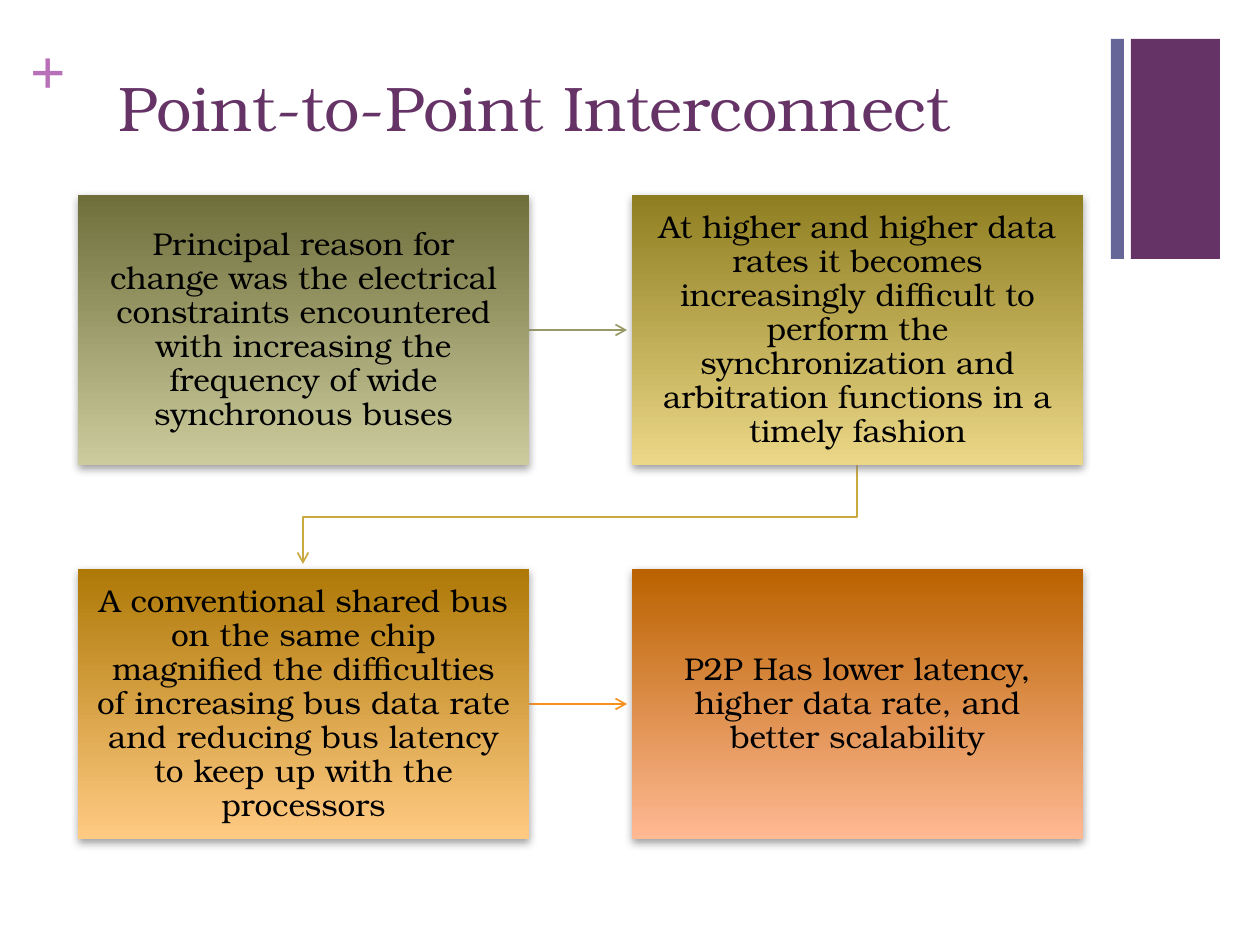
from dataclasses import dataclass

from lxml import etree
from pptx import Presentation
from pptx.dml.color import RGBColor
from pptx.enum.shapes import MSO_CONNECTOR, MSO_SHAPE
from pptx.enum.text import MSO_ANCHOR, PP_ALIGN
from pptx.oxml.ns import qn
from pptx.util import Emu, Pt

RECTANGLE = MSO_SHAPE.RECTANGLE
STRAIGHT = MSO_CONNECTOR.STRAIGHT
MIDDLE, TOP = MSO_ANCHOR.MIDDLE, MSO_ANCHOR.TOP
CENTER, LEFT = PP_ALIGN.CENTER, PP_ALIGN.LEFT

EMU_PER_PX = 914400 // 126
BODY_FONT = "TeX Gyre Bonum"
MARK_FONT = "Times New Roman"
COLORS = {
    "plum": "663366", "slate": "666699", "orchid": "B870B8",
    "text": "000000", "shadow": "808080",
    "olive": "999966", "gold": "CAA940", "orange": "F7901E",
}

# Card grid
CARD_LEFT, CARD_TOP = 78, 195
CARD_WIDTH, CARD_HEIGHT = 451, 270
COLUMN_PITCH, ROW_PITCH = 554, 374
CARD_INSET = 18
ARROW_GAP = 5


@dataclass
class Card:
    text: str
    column: int
    row: int
    dark: str
    light: str

    @property
    def left(self) -> int:
        return CARD_LEFT + self.column * COLUMN_PITCH

    @property
    def top(self) -> int:
        return CARD_TOP + self.row * ROW_PITCH


CARDS = [
    Card("Principal reason for change was the electrical constraints encountered "
         "with increasing the frequency of wide synchronous buses",
         0, 0, "6F6F3C", "CBCB9D"),
    Card("At higher and higher data rates it becomes increasingly difficult to perform "
         "the synchronization and arbitration functions in a timely fashion",
         1, 0, "8F7E21", "EBD787"),
    Card("A conventional shared bus on the same chip magnified the difficulties of "
         "increasing bus data rate and reducing bus latency to keep up with the processors",
         0, 1, "AE7907", "FFCA82"),
    Card("P2P Has lower latency, higher data rate, and better scalability",
         1, 1, "BA6200", "FFB993"),
]


def px(length: int) -> Emu:
    return Emu(length * EMU_PER_PX)


def rgb(name: str) -> RGBColor:
    return RGBColor.from_string(COLORS[name])


def add_rectangle(slide, left: int, top: int, width: int, height: int):
    shape = slide.shapes.add_shape(RECTANGLE, px(left), px(top), px(width), px(height))
    shape.shadow.inherit = False
    shape.line.fill.background()
    return shape


def write_text(shape, text: str, size: int, color: str, inset: tuple[int, int],
               font: str = BODY_FONT, align=LEFT, anchor=TOP, wrap: bool = True):
    frame = shape.text_frame
    frame.word_wrap = wrap
    frame.vertical_anchor = anchor
    frame.margin_left = frame.margin_right = px(inset[0])
    frame.margin_top = frame.margin_bottom = px(inset[1])
    paragraph = frame.paragraphs[0]
    paragraph.text = text
    paragraph.alignment = align
    paragraph.font.size = Pt(size)
    paragraph.font.name = font
    paragraph.font.color.rgb = rgb(color)
    return paragraph


def add_shadow(shape) -> None:
    effects = shape._element.spPr.find(qn("a:effectLst"))
    shadow = etree.SubElement(effects, qn("a:outerShdw"), blurRad=str(Pt(5)),
                              dist=str(Pt(2)), dir="5400000", rotWithShape="0")
    color = etree.SubElement(shadow, qn("a:srgbClr"), val=COLORS["shadow"])
    etree.SubElement(color, qn("a:alpha"), val="75000")


def add_card(slide, card: Card) -> None:
    shape = add_rectangle(slide, card.left, card.top, CARD_WIDTH, CARD_HEIGHT)
    shape.fill.gradient()
    shape.fill.gradient_angle = 270
    for stop, color in zip(shape.fill.gradient_stops, (card.dark, card.light)):
        stop.color.rgb = RGBColor.from_string(color)
    add_shadow(shape)
    paragraph = write_text(shape, card.text, 18, "text", (CARD_INSET, CARD_INSET),
                           align=CENTER, anchor=MIDDLE)
    paragraph.line_spacing = 0.9


def style_arrow(shape, color: str) -> None:
    shape.line.color.rgb = rgb(color)
    shape.line.width = Pt(1)
    etree.SubElement(shape.line._get_or_add_ln(), qn("a:tailEnd"), type="arrow")


def add_row_arrow(slide, start: Card, end: Card, color: str) -> None:
    middle = px(start.top + CARD_HEIGHT // 2)
    connector = slide.shapes.add_connector(
        STRAIGHT, px(start.left + CARD_WIDTH), middle, px(end.left - ARROW_GAP), middle)
    style_arrow(connector, color)
    etree.SubElement(connector._element.spPr, qn("a:effectLst"))


def add_elbow_arrow(slide, start: Card, end: Card, color: str) -> None:
    start_x, end_x = (card.left + CARD_WIDTH // 2 for card in (start, end))
    bottom = start.top + CARD_HEIGHT
    bend = (bottom + end.top) // 2
    builder = slide.shapes.build_freeform(start_x, bottom, scale=EMU_PER_PX)
    builder.add_line_segments(
        [(start_x, bend), (end_x, bend), (end_x, end.top - ARROW_GAP)], close=False)
    elbow = builder.convert_to_shape()
    elbow.shadow.inherit = False
    elbow.fill.background()
    style_arrow(elbow, color)


def main() -> None:
    presentation = Presentation()
    presentation.slide_width, presentation.slide_height = px(1260), px(945)
    slide = presentation.slides.add_slide(presentation.slide_layouts[6])

    # Corner bars and plus mark
    for left, width, color in ((1131, 89, "plum"), (1111, 13, "slate")):
        bar = add_rectangle(slide, left, 39, width, 220)
        bar.fill.solid()
        bar.fill.fore_color.rgb = rgb(color)
    mark = slide.shapes.add_textbox(px(30), px(32), px(37), px(77))
    write_text(mark, "+", 36, "orchid", (0, 0), font=MARK_FONT, wrap=False).font.bold = True

    # Title
    title = slide.shapes.add_textbox(px(105), px(63), px(1041), px(154))
    write_text(title, "Point-to-Point Interconnect", 36, "plum", (13, 6))

    # Arrows between the cards, then the cards
    first, second, third, fourth = CARDS
    add_row_arrow(slide, first, second, "olive")
    add_elbow_arrow(slide, second, third, "gold")
    add_row_arrow(slide, third, fourth, "orange")
    for card in CARDS:
        add_card(slide, card)

    presentation.save("out.pptx")


if __name__ == "__main__":
    main()
